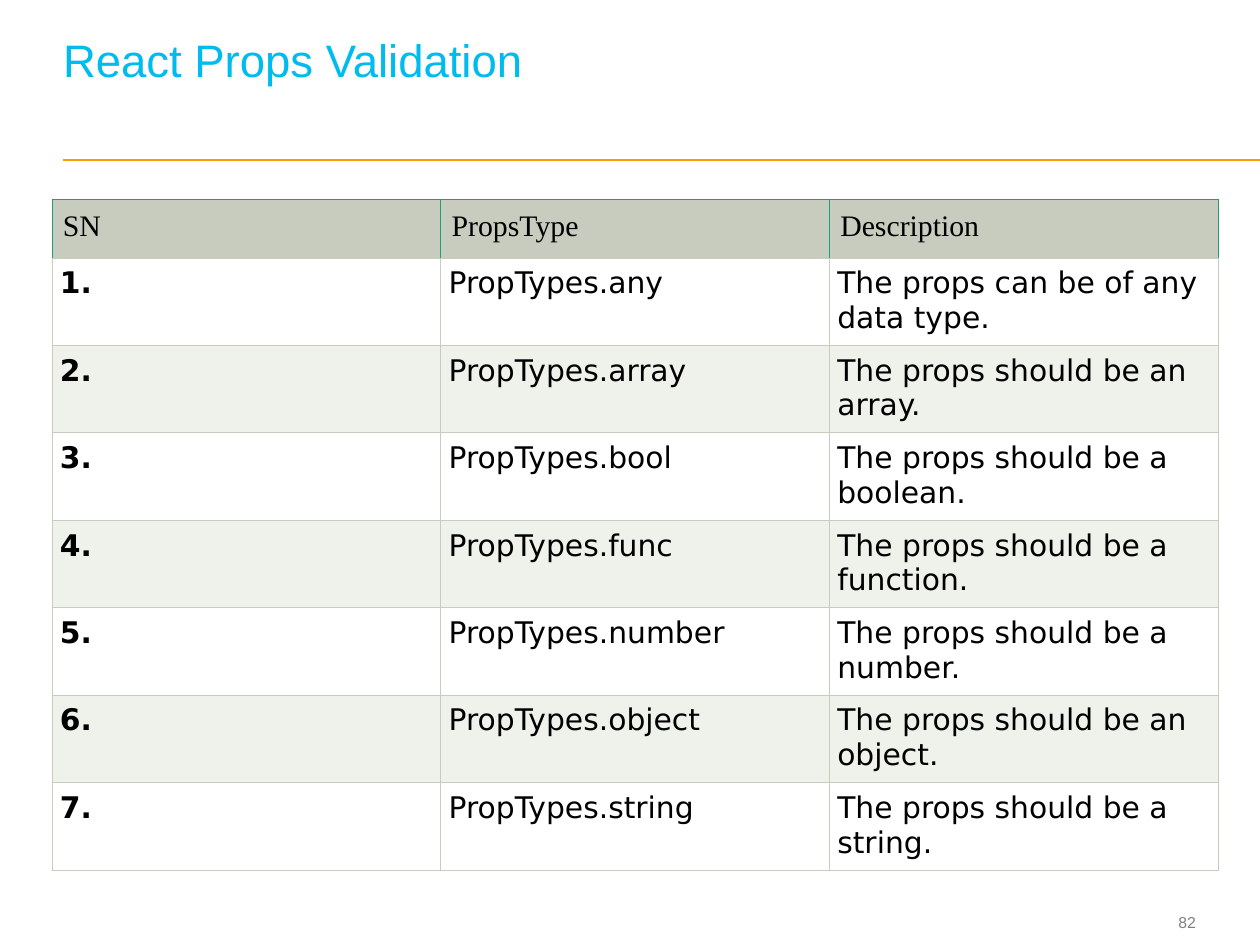
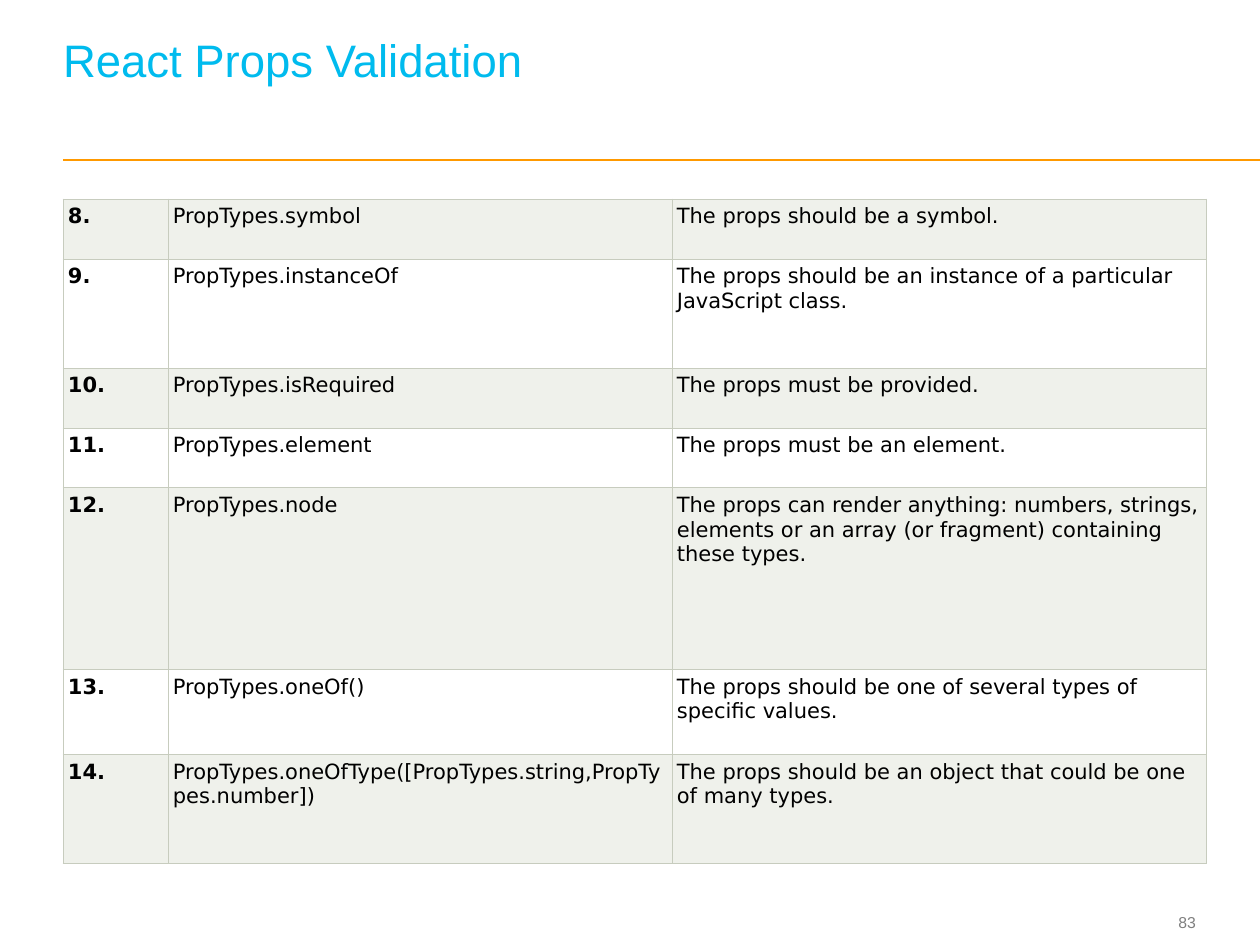
from lxml import etree
from pptx import Presentation
from pptx.dml.color import RGBColor
from pptx.enum.shapes import MSO_CONNECTOR
from pptx.enum.text import MSO_ANCHOR, PP_ALIGN
from pptx.oxml.ns import qn
from pptx.util import Emu, Pt

STRAIGHT = MSO_CONNECTOR.STRAIGHT
BOTTOM, MIDDLE = MSO_ANCHOR.BOTTOM, MSO_ANCHOR.MIDDLE
LEFT, RIGHT = PP_ALIGN.LEFT, PP_ALIGN.RIGHT

EMU_PER_PX = 914400 / 126
SLIDE_W, SLIDE_H = 1260, 945

SKY = RGBColor(0x00, 0xBB, 0xEE)
ORANGE = RGBColor(0xFF, 0x99, 0x00)
GRAY = RGBColor(0x7F, 0x7F, 0x7F)
BLACK = RGBColor(0x00, 0x00, 0x00)
WHITE = RGBColor(0xFF, 0xFF, 0xFF)
SAGE = RGBColor(0xC7, 0xCC, 0xBE)
PALE = RGBColor(0xEF, 0xF1, 0xEB)
GREEN = RGBColor(0x20, 0x9D, 0x7A)

SANS, SERIF, BODY = "Arial", "Times New Roman", "DejaVu Sans"
TITLE = "React Props Validation"
TITLE_LINE = 26
BORDER = Pt(0.6)

HEADER = ("SN", "PropsType", "Description")
BASIC_TYPES = [
    ("any", "The props can be of any data type."),
    ("array", "The props should be an array."),
    ("bool", "The props should be a boolean."),
    ("func", "The props should be a function."),
    ("number", "The props should be a number."),
    ("object", "The props should be an object."),
    ("string", "The props should be a string."),
]
SPECIAL_TYPES = [
    ("symbol", "The props should be a symbol."),
    ("instanceOf", "The props should be an instance of a particular JavaScript class."),
    ("isRequired", "The props must be provided."),
    ("element", "The props must be an element."),
    ("node", "The props can render anything: numbers, strings, elements "
             "or an array (or fragment) containing these types."),
    ("oneOf()", "The props should be one of several types of specific values."),
    ("oneOfType([PropTypes.string,PropTypes.number])",
     "The props should be an object that could be one of many types."),
]


def px(n):
    return Emu(round(n * EMU_PER_PX))


def add_run(p, text, font, size, color, bold=False):
    r = p.add_run()
    r.text = text
    r.font.name, r.font.size, r.font.bold = font, Pt(size), bold
    r.font.color.rgb = color


def add_text(slide, box, text, size, color, anchor, align=LEFT, bottom=0):
    """Add a one-line text box and return its paragraph."""
    tf = slide.shapes.add_textbox(*map(px, box)).text_frame
    tf.word_wrap = True
    tf.vertical_anchor = anchor
    tf.margin_left = tf.margin_top = tf.margin_right = 0
    tf.margin_bottom = px(bottom)
    p = tf.paragraphs[0]
    p.alignment = align
    add_run(p, text, SANS, size, color)
    return p


def add_page(prs, number):
    """Add a slide with the rule, page number and title that all slides share."""
    slide = prs.slides.add_slide(prs.slide_layouts[6])
    rule = slide.shapes.add_connector(STRAIGHT, px(63), px(160), px(SLIDE_W), px(160))
    rule.line.color.rgb, rule.line.width = ORANGE, Pt(1)
    etree.SubElement(rule._element.spPr, qn("a:effectLst"))
    add_text(slide, (1122, 905, 74, 34), str(number), 9, GRAY, MIDDLE, RIGHT)
    # The title sits one line above the bottom of its box.
    p = add_text(slide, (63, 24, 1130, 108), TITLE, 26, SKY, BOTTOM, bottom=46)
    p.line_spacing = Pt(TITLE_LINE)
    return slide


def set_borders(cell, edge_color):
    """Draw all four borders; the bottom one is always sage."""
    tc_pr = cell._tc.get_or_add_tcPr()
    for i, side in enumerate("LRTB"):
        ln = etree.Element(qn(f"a:ln{side}"), w=str(BORDER))
        fill = etree.SubElement(ln, qn("a:solidFill"))
        color = SAGE if side == "B" else edge_color
        etree.SubElement(fill, qn("a:srgbClr"), val=str(color))
        tc_pr.insert(i, ln)


def fill_cell(cell, text, font, size, inset, fill, edge=SAGE, bold=False):
    cell.fill.solid()
    cell.fill.fore_color.rgb = fill
    cell.margin_left = cell.margin_right = px(inset)
    cell.margin_top = cell.margin_bottom = px(inset)
    add_run(cell.text_frame.paragraphs[0], text, font, size, BLACK, bold)
    set_borders(cell, edge)


def add_table(slide, left, top, widths, heights):
    """Add an unstyled table with the given column widths and row heights."""
    frame = slide.shapes.add_table(len(heights), len(widths), px(left), px(top),
                                   Emu(sum(widths)), Emu(sum(heights)))
    table = frame.table
    table.first_row = table.horz_banding = False
    for column, width in zip(table.columns, widths):
        column.width = width
    for row, height in zip(table.rows, heights):
        row.height = height
    return table


def fill_types(table, types, first_number, size, inset, first_row=0):
    """Fill numbered rows; even numbers are shaded."""
    for i, (name, description) in enumerate(types):
        number = first_number + i
        fill = WHITE if number % 2 else PALE
        texts = (f"{number}.", f"PropTypes.{name}", description)
        for col, text in enumerate(texts):
            fill_cell(table.cell(first_row + i, col), text, BODY, size, inset,
                      fill, bold=col == 0)


def add_basic_types(prs):
    slide = add_page(prs, 82)
    widths = [px(1166) // 3] * 3
    heights = [px(59)] + [px(606) // len(BASIC_TYPES)] * len(BASIC_TYPES)
    table = add_table(slide, 52, 199, widths, heights)
    for col, text in enumerate(HEADER):
        fill_cell(table.cell(0, col), text, SERIF, 17, 11, SAGE, GREEN)
    fill_types(table, BASIC_TYPES, 1, 17, 8, first_row=1)


def add_special_types(prs):
    slide = add_page(prs, 83)
    widths = [px(n) for n in (105, 504, 535)]
    heights = [px(n) for n in (60, 109, 60, 60, 182, 85, 109)]
    table = add_table(slide, 63, 199, widths, heights)
    fill_types(table, SPECIAL_TYPES, 8, 12, 5)


def main():
    prs = Presentation()
    prs.slide_width, prs.slide_height = px(SLIDE_W), px(SLIDE_H)
    add_basic_types(prs)
    add_special_types(prs)
    prs.save("out.pptx")


if __name__ == "__main__":
    main()
